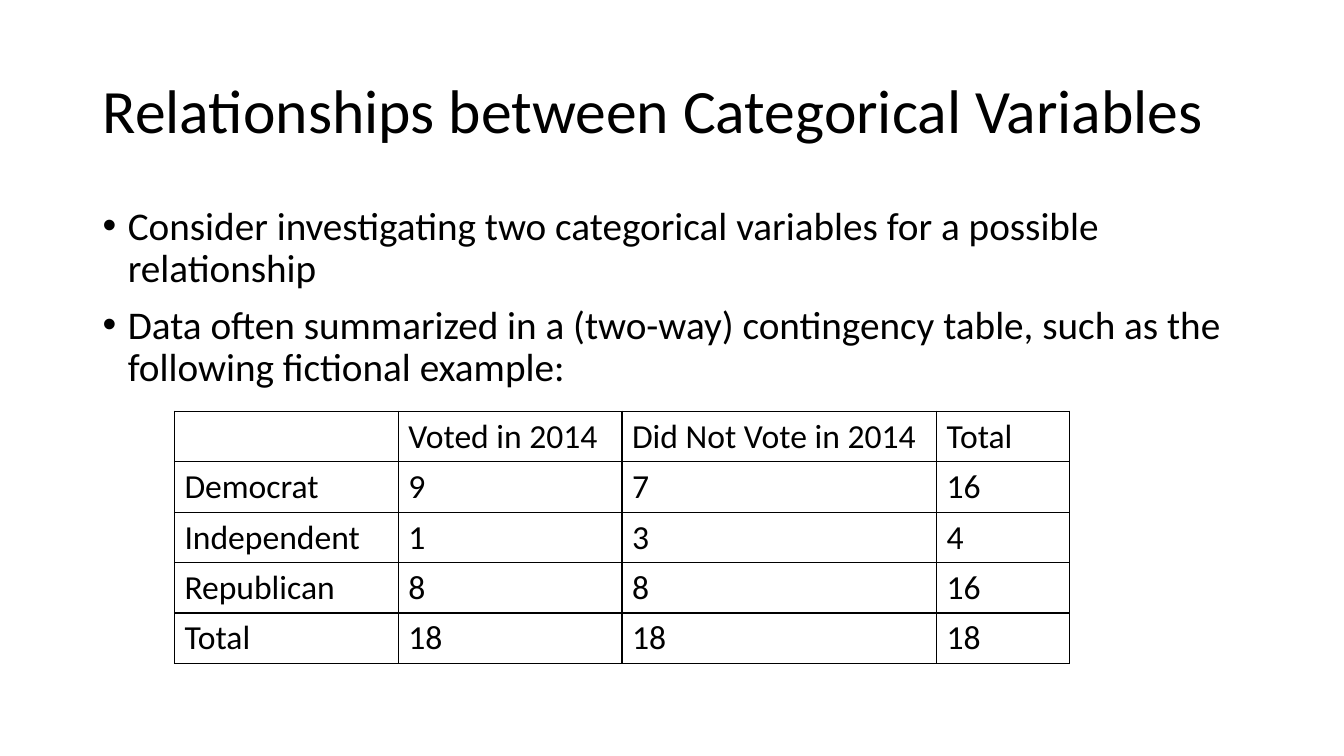
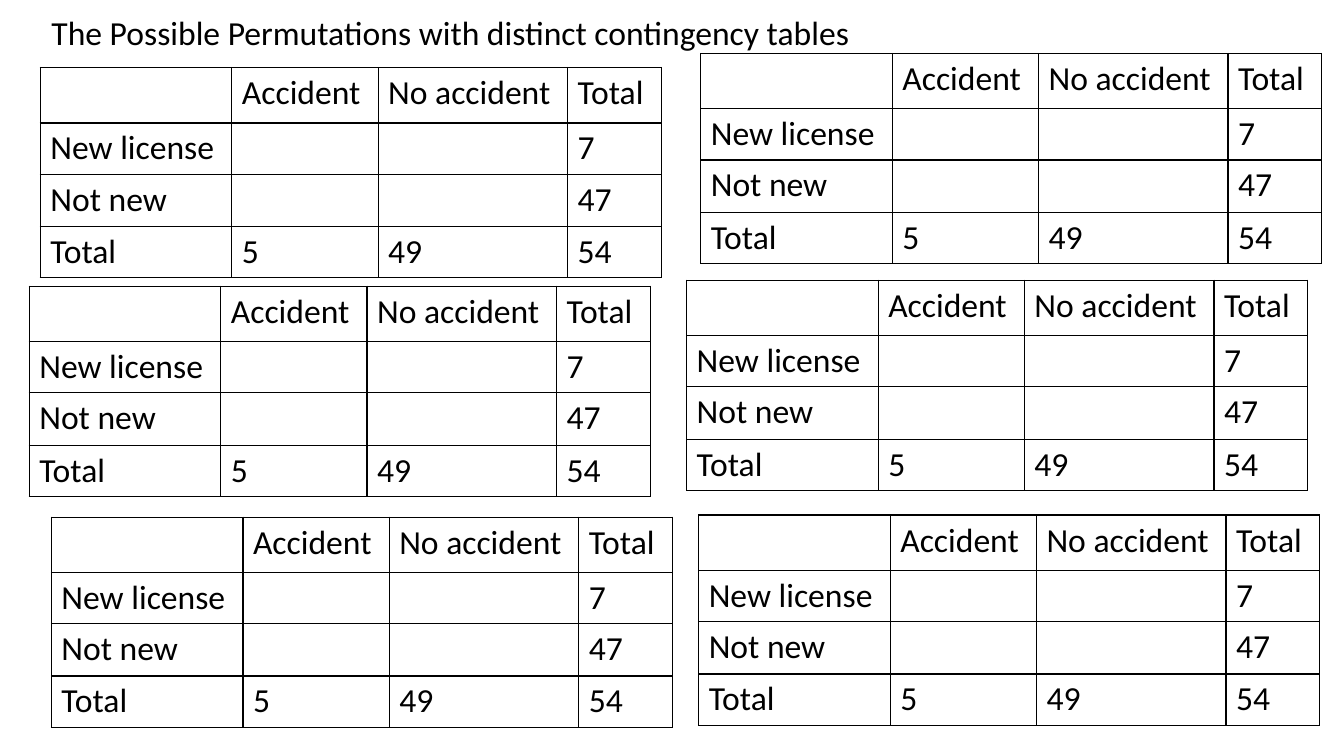
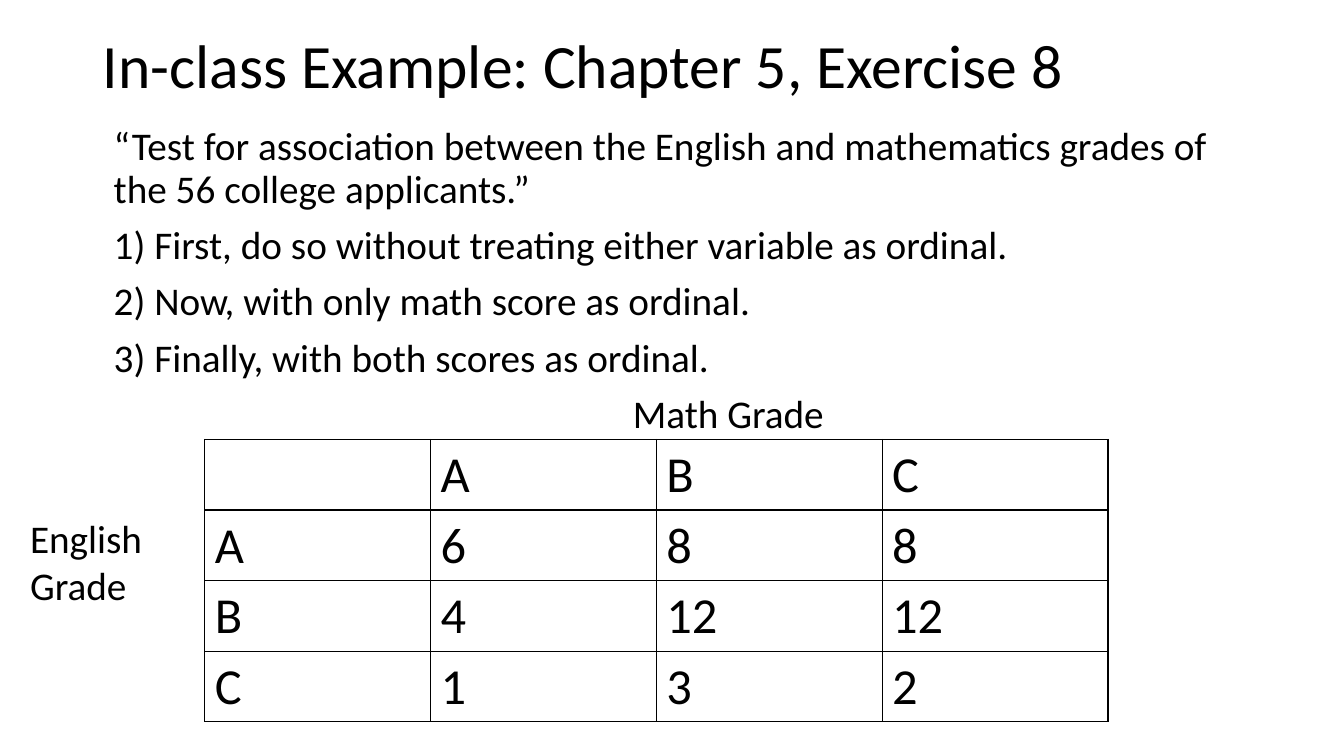
from lxml import etree
from pptx import Presentation
from pptx.dml.color import RGBColor
from pptx.enum import text
from pptx.oxml import ns
from pptx.util import Inches, Pt

BLACK = RGBColor(0, 0, 0)
FONT = "Calibri"


def write(tf, lines, size=28, spacing=0.9, before=0, bullet=False):
    """Fill a text frame with one left-aligned paragraph per line."""
    tf.word_wrap = True
    for i, line in enumerate(lines):
        p = tf.paragraphs[0] if i == 0 else tf.add_paragraph()
        p.alignment = text.PP_ALIGN.LEFT
        p.line_spacing = spacing
        p.space_before = Pt(before)
        if bullet:
            pPr = p._p.get_or_add_pPr()
            pPr.set("marL", str(Inches(0.25)))
            pPr.set("indent", str(Inches(-0.25)))
            etree.SubElement(pPr, ns.qn("a:buFont"), typeface="Arial")
            etree.SubElement(pPr, ns.qn("a:buChar"), char="\u2022")
        r = p.add_run()
        r.text = line
        r.font.name, r.font.size, r.font.color.rgb = FONT, Pt(size), BLACK


def add_grid(slide, left, top, widths, heights, rows, size=24):
    """Add an unfilled table with thin black borders."""
    table = slide.shapes.add_table(
        len(rows), len(widths), Inches(left), Inches(top),
        Inches(sum(widths)), Inches(sum(heights))).table
    table.first_row = table.horz_banding = False
    for column, width in zip(table.columns, widths):
        column.width = Inches(width)
    for row, height, values in zip(table.rows, heights, rows):
        row.height = Inches(height)
        for cell, value in zip(row.cells, values):
            if value:
                write(cell.text_frame, [value], size=size, spacing=1)
            tcPr = cell._tc.get_or_add_tcPr()
            for side in ("lnL", "lnR", "lnT", "lnB"):
                ln = etree.SubElement(tcPr, ns.qn("a:" + side), w=str(Pt(1)))
                fill = etree.SubElement(ln, ns.qn("a:solidFill"))
                etree.SubElement(fill, ns.qn("a:srgbClr"), val=str(BLACK))
            cell.fill.background()


prs = Presentation()
prs.slide_width, prs.slide_height = Inches(13.33), Inches(7.5)

# Titles
titles = [
    ("Relationships between Categorical Variables", 44, (0.92, 0.4, 11.5, 1.45)),
    ("The Possible Permutations with distinct contingency tables", 24,
     (0.41, 0.2, 10.67, 0.29)),
    ("In-class Example: Chapter 5, Exercise 8", 44, (0.92, 0.19, 11.5, 0.98)),
]
for title, size, box in titles:
    sp = prs.slides.add_slide(prs.slide_layouts[5]).shapes.title
    sp.left, sp.top, sp.width, sp.height = map(Inches, box)
    sp.text_frame.auto_size = text.MSO_AUTO_SIZE.NONE
    sp.text_frame.vertical_anchor = text.MSO_ANCHOR.MIDDLE
    write(sp.text_frame, [title], size=size)
relationships, permutations, exercise = prs.slides

# Relationships between variables
body = relationships.shapes.add_textbox(
    Inches(0.92), Inches(2), Inches(11.5), Inches(4.76))
write(body.text_frame, [
    "Consider investigating two categorical variables for a possible relationship",
    "Data often summarized in a (two-way) contingency table, such as the "
    "following fictional example:",
], before=10, bullet=True)
add_grid(relationships, 1.73, 4.08, [2.22, 2.22, 3.12, 1.32], [0.5] * 5, [
    ["", "Voted in 2014", "Did Not Vote in 2014", "Total"],
    ["Democrat", "9", "7", "16"],
    ["Independent", "1", "3", "4"],
    ["Republican", "8", "8", "16"],
    ["Total", "18", "18", "18"],
])

# Six blank contingency tables with the same margins
accidents = [
    ["", "Accident", "No accident", "Total"],
    ["New license", "", "", "7"],
    ["Not new", "", "", "47"],
    ["Total", "5", "49", "54"],
]
corners = [(0.4, 0.67), (6.95, 0.53), (0.29, 2.84),
           (6.81, 2.78), (0.51, 5.13), (6.93, 5.11)]
for left, top in corners:
    add_grid(permutations, left, top, [1.9, 1.45, 1.88, 0.93],
             [0.55, 0.5, 0.52, 0.5], accidents)

# Exercise on grades
body = exercise.shapes.add_textbox(
    Inches(1.03), Inches(1.21), Inches(11.5), Inches(4.52))
write(body.text_frame, [
    "\u201cTest for association between the English and mathematics grades of "
    "the 56 college applicants.\u201d",
    "1) First, do so without treating either variable as ordinal.",
    "2) Now, with only math score as ordinal.",
    "3) Finally, with both scores as ordinal.",
    "Math Grade",
], before=10)
math_heading = body.text_frame.paragraphs[-1]
math_heading._p.get_or_add_pPr().set("marL", str(Inches(5.15)))
add_grid(exercise, 2.03, 4.36, [2.24] * 4, [0.7] * 4, [
    ["", "A", "B", "C"],
    ["A", "6", "8", "8"],
    ["B", "4", "12", "12"],
    ["C", "1", "3", "2"],
], size=36)
label = exercise.shapes.add_textbox(
    Inches(0.2), Inches(5.05), Inches(1.46), Inches(1.04))
write(label.text_frame, ["English Grade"], spacing=1)

prs.save("out.pptx")
